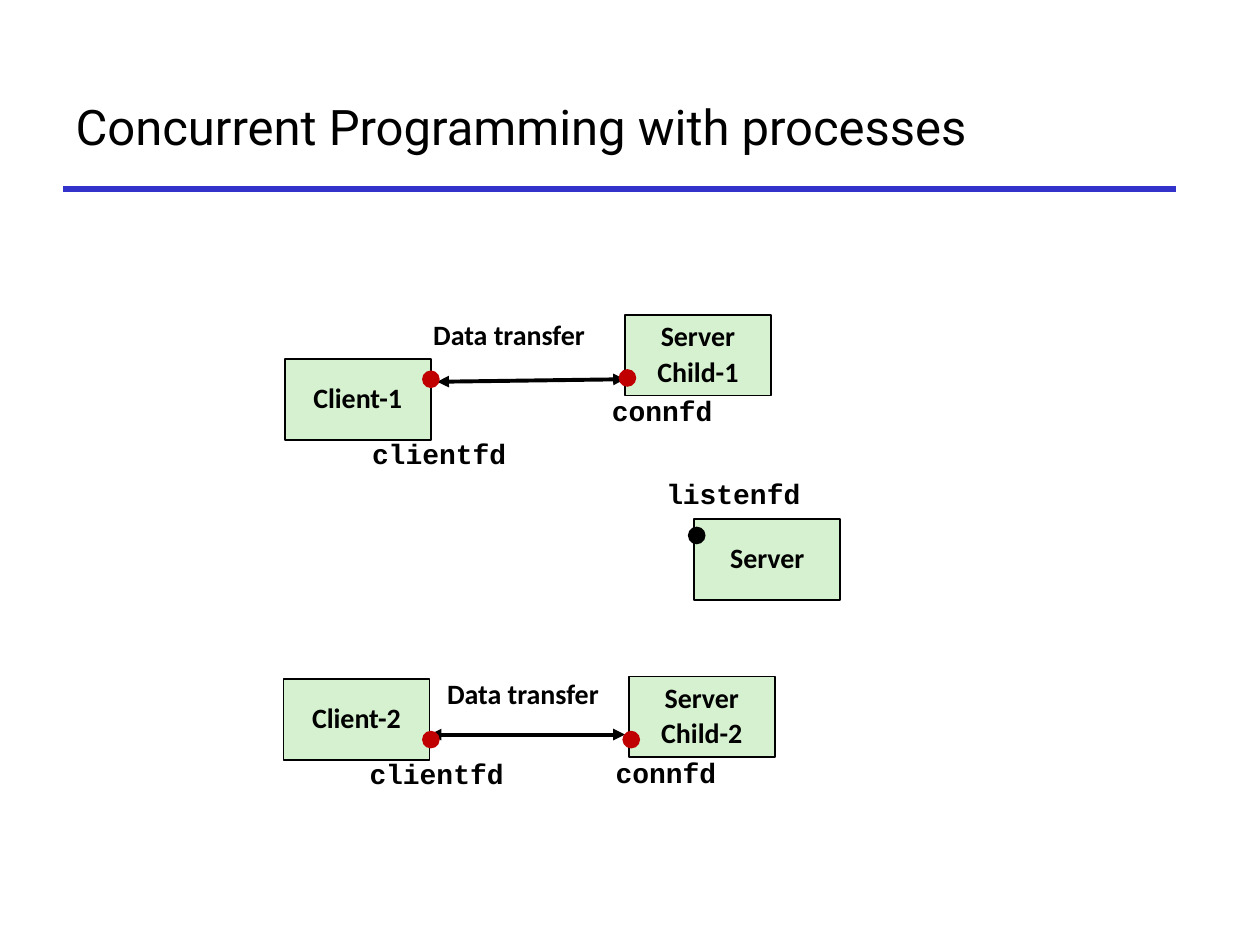
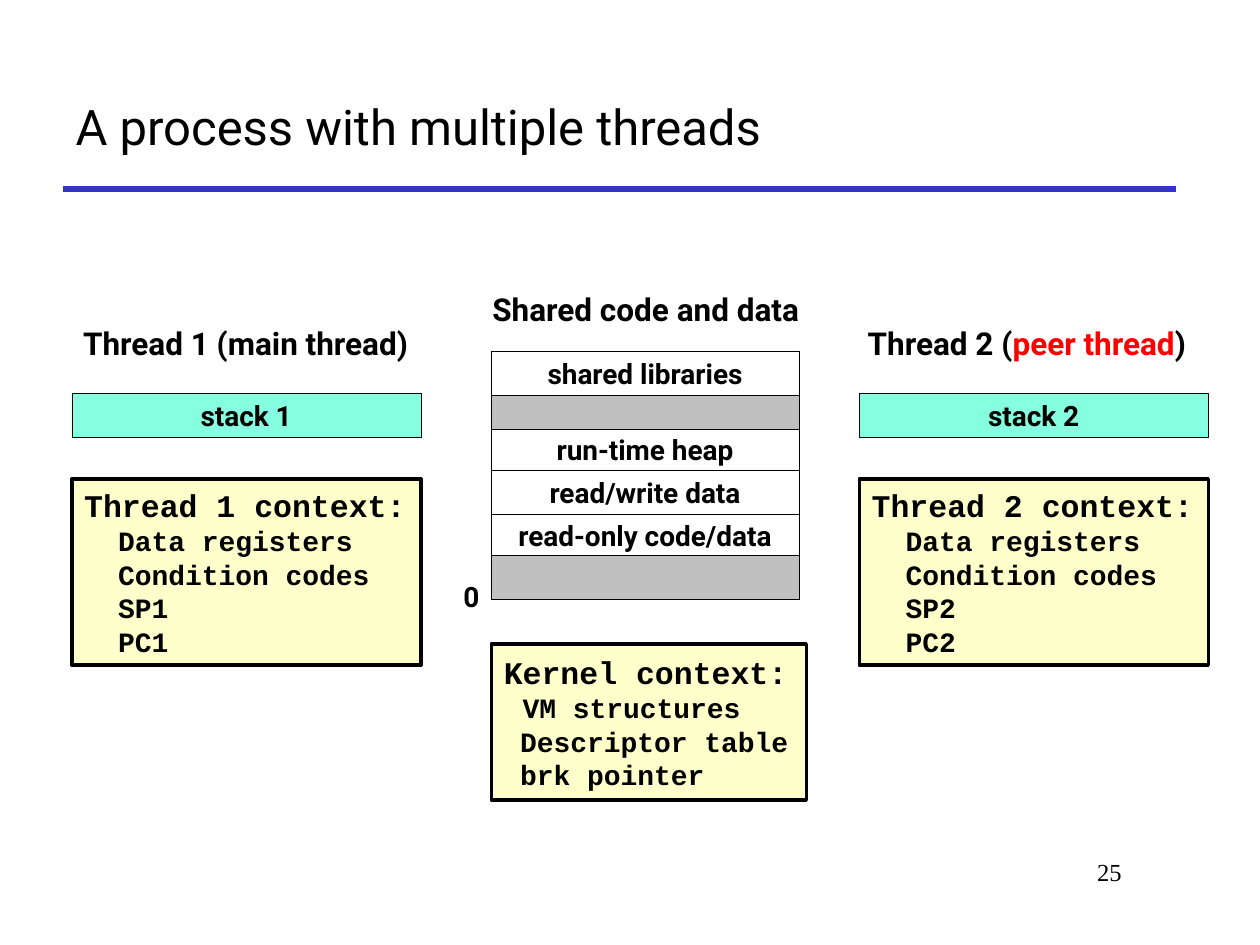
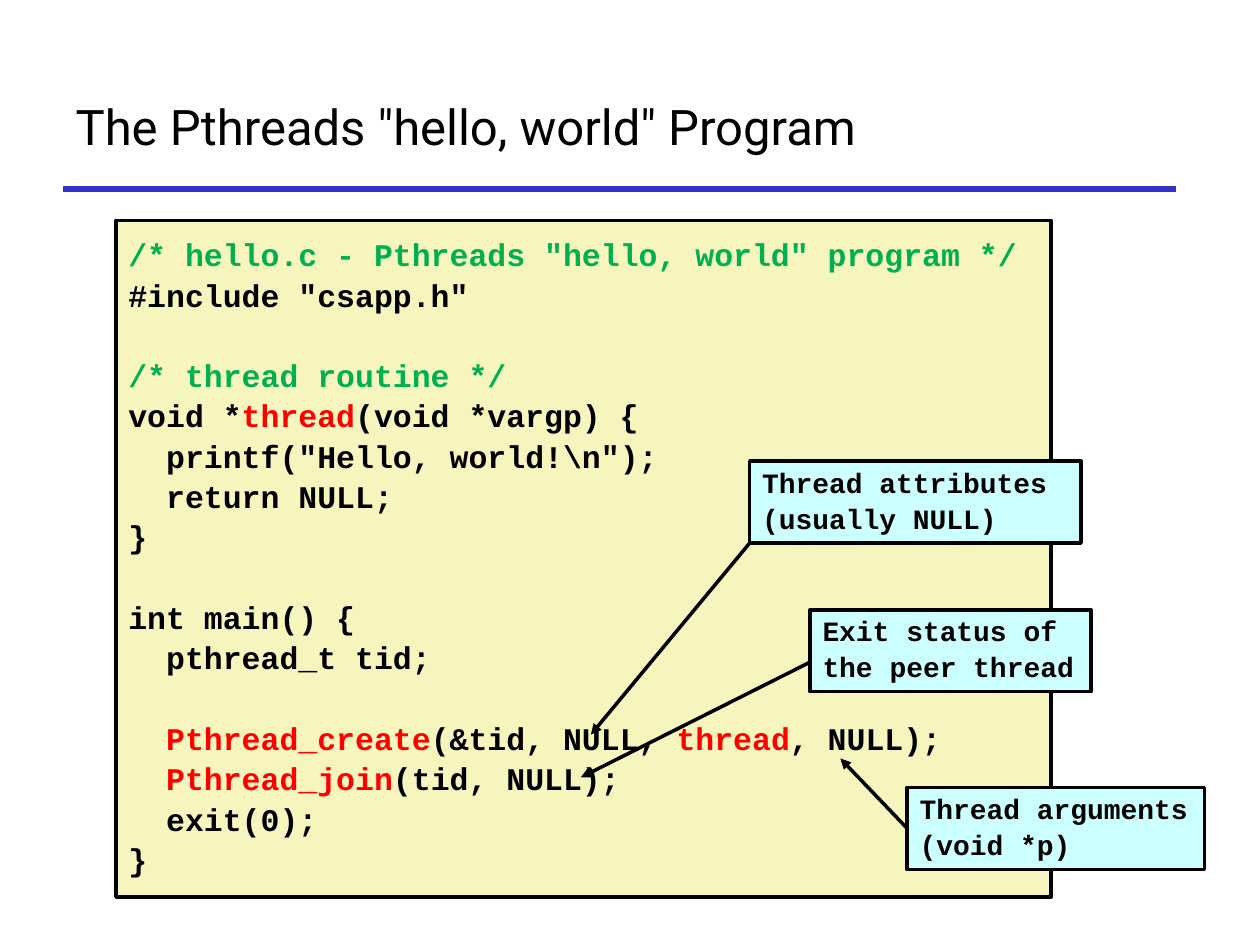
import dataclasses

import pptx
import pptx.dml.color
import pptx.enum.shapes
import pptx.enum.text
import pptx.oxml
import pptx.oxml.ns
import pptx.util

Inches = pptx.util.Inches
Pt = pptx.util.Pt
Shape = pptx.enum.shapes.MSO_SHAPE
Align = pptx.enum.text.PP_ALIGN
Anchor = pptx.enum.text.MSO_ANCHOR


@dataclasses.dataclass(frozen=True)
class Theme:
    black: str = "000000"
    white: str = "FFFFFF"
    rule: str = "3333CC"
    process: str = "D5F1CF"
    socket: str = "C00000"
    gray: str = "C0C0C0"
    stack: str = "85FFE0"
    context: str = "FFFFCC"
    code: str = "F6F5BD"
    callout: str = "CCFFFF"
    red: str = "FF0000"
    green: str = "00B050"
    sans: str = "Roboto"
    label: str = "Calibri"
    mono: str = "Courier New"
    serif: str = "Times New Roman"
    title: int = 28
    large: int = 18
    normal: int = 16
    number: int = 14


@dataclasses.dataclass(frozen=True)
class Line:
    spans: list
    indent: float = 0
    size: int = 0
    skipped: int = 0


THEME = Theme()
MONO_LINE = 1.2

PROCESSES = [
    (["Client-1"], 2.26, 2.85),
    (["Server", "Child-1"], 4.96, 2.5),
    (["Server"], 5.51, 4.12),
    (["Client-2"], 2.25, 5.39),
    (["Server", "Child-2"], 4.99, 5.37),
]
TRANSFERS = [((3.47, 3.03), (4.96, 3.01)), ((3.41, 5.83), (4.96, 5.83))]
SOCKETS = [
    (3.35, 2.94, THEME.socket),
    (4.91, 2.93, THEME.socket),
    (5.46, 4.18, THEME.black),
    (3.35, 5.8, THEME.socket),
    (4.94, 5.8, THEME.socket),
]
SOCKET_LABELS = [
    ("Data transfer", THEME.label, (3.33, 2.5, 1.42, 0.34)),
    ("Data transfer", THEME.label, (3.44, 5.35, 1.42, 0.34)),
    ("clientfd", THEME.mono, (2.85, 3.43, 1.27, 0.37)),
    ("clientfd", THEME.mono, (2.83, 5.97, 1.27, 0.37)),
    ("connfd", THEME.mono, (4.75, 3.1, 1.01, 0.35)),
    ("connfd", THEME.mono, (4.78, 5.97, 1.01, 0.35)),
    ("listenfd", THEME.mono, (5.18, 3.76, 1.28, 0.34)),
]

MEMORY_ROWS = [
    ("shared libraries", 0.35),
    ("", 0.27),
    ("run-time heap", 0.32),
    ("read/write data", 0.35),
    ("read-only code/data", 0.33),
    ("", 0.35),
]
THREADS = [
    (1, 0.57, [("Thread 1 (main thread)", THEME.black)], (0.5, 2.52, 2.9, 0.4)),
    (
        2,
        6.82,
        [("Thread 2 (", THEME.black), ("peer thread", THEME.red), (")", THEME.black)],
        (6.73, 2.52, 2.84, 0.4),
    ),
]
KERNEL = [("VM structures", 0.15), ("Descriptor table", 0.13), ("brk pointer", 0.13)]

CODE = [
    Line([('/* hello.c - Pthreads "hello, world" program */', THEME.green)]),
    Line(['#include "csapp.h"']),
    Line([("/* thread routine */", THEME.green)], skipped=1),
    Line(["void *", ("thread", THEME.red), "(void *vargp) {"]),
    Line(['printf("Hello, world!\\n");'], indent=0.3),
    Line(["return NULL;"], indent=0.3),
    Line(["}"]),
    Line(["int main() {"], skipped=1),
    Line(["pthread_t tid;"], indent=0.3),
    Line(
        [("Pthread_create", THEME.red), "(&tid, NULL, ", ("thread", THEME.red), ", NULL);"],
        indent=0.3,
        skipped=1,
    ),
    Line([("Pthread_join", THEME.red), "(tid, NULL);"], indent=0.3),
    Line(["exit(0);"], indent=0.3),
    Line(["}"]),
]
CALLOUTS = [
    (["Thread attributes", "(usually NULL)"], (5.95, 3.66, 2.63, 0.65), (5.95, 4.31), (4.69, 5.83)),
    (["Thread arguments", "(void *p)"], (7.2, 6.25, 2.36, 0.65), None, (6.67, 6.02)),
    (["Exit status of", "the peer thread"], (6.43, 4.84, 2.23, 0.65), (6.42, 5.26), (4.61, 6.17)),
]


def rgb(value):
    return pptx.dml.color.RGBColor.from_string(value)


def write(frame, lines, font=THEME.sans, size=THEME.normal, bold=True, align=Align.CENTER,
          anchor=Anchor.MIDDLE, spaced=False):
    frame.word_wrap = align != Align.CENTER
    frame.vertical_anchor = anchor
    for index, line in enumerate(lines):
        if isinstance(line, str):
            line = Line([line])
        para = frame.paragraphs[0] if index == 0 else frame.add_paragraph()
        para.alignment = align
        points = line.size or size
        if spaced:
            gap = 0.2 * points
            pitch = 0.9 * MONO_LINE * points + gap
            para.line_spacing = 0.9
            para.space_before = Pt(round(gap + line.skipped * pitch, 1))
        if line.indent:
            para._p.get_or_add_pPr().set("marL", str(Inches(line.indent)))
        for part in line.spans:
            text, color = (part, THEME.black) if isinstance(part, str) else part
            span = para.add_run()
            span.text = text
            span.font.name = font
            span.font.size = Pt(points)
            span.font.bold = bold
            span.font.color.rgb = rgb(color)


def add_label(page, place, lines, **text_format):
    box = page.shapes.add_textbox(*map(Inches, place))
    write(box.text_frame, lines, **text_format)


def add_box(page, place, fill, lines=(), weight=0, kind=Shape.RECTANGLE, **text_format):
    box = page.shapes.add_shape(kind, *map(Inches, place))
    box.shadow.inherit = False
    box.fill.solid()
    box.fill.fore_color.rgb = rgb(fill)
    if weight:
        box.line.color.rgb = rgb(THEME.black)
        box.line.width = Pt(weight)
    else:
        box.line.fill.background()
    if lines:
        write(box.text_frame, lines, **text_format)
    return box


def add_line(page, start, end, color=THEME.black, weight=2, arrows=()):
    line = page.shapes.add_connector(
        pptx.enum.shapes.MSO_CONNECTOR.STRAIGHT, *map(Inches, (*start, *end)))
    line.line.color.rgb = rgb(color)
    line.line.width = Pt(weight)
    outline = line.line._get_or_add_ln()
    for name in arrows:
        arrow = pptx.oxml.parse_xml(f'<a:{name} {pptx.oxml.ns.nsdecls("a")} type="triangle"/>')
        outline.append(arrow)
    line._element.spPr.append(
        pptx.oxml.parse_xml(f'<a:effectLst {pptx.oxml.ns.nsdecls("a")}/>'))
    return line


def add_page(deck, title):
    page = deck.slides.add_slide(deck.slide_layouts[5])
    holder = page.shapes.title
    holder.left, holder.top, holder.width, holder.height = map(Inches, (0.5, 0.5, 8.83, 1))
    write(holder.text_frame, [title], size=THEME.title, bold=False, align=Align.LEFT)
    add_line(page, (0.5, 1.5), (9.33, 1.5), color=THEME.rule, weight=3)
    return page


def build_processes(deck):
    page = add_page(deck, "Concurrent Programming with processes")
    for lines, left, top in PROCESSES:
        add_box(page, (left, top, 1.16, 0.64), THEME.process, lines, weight=1,
                font=THEME.label, spaced=True)
    for start, end in TRANSFERS:
        add_line(page, start, end, weight=2.25, arrows=("headEnd", "tailEnd"))
    for left, top, color in SOCKETS:
        add_box(page, (left, top, 0.14, 0.14), color, kind=Shape.OVAL)
    for text, font, place in SOCKET_LABELS:
        add_label(page, place, [text], font=font, spaced=True)


def add_context(page, place, heading, details):
    lines = [Line([heading], size=THEME.large)]
    lines += [Line([text], indent=indent) for text, indent in details]
    add_box(page, place, THEME.context, lines, weight=2, font=THEME.mono, align=Align.LEFT)


def build_threads(deck):
    page = add_page(deck, "A process with multiple threads")
    add_label(page, (7.58, 6.75, 1.42, 0.5), ["25"], font=THEME.serif, size=THEME.number,
              bold=False, align=Align.RIGHT, anchor=Anchor.TOP)
    add_label(page, (3.66, 2.25, 2.87, 0.4), [" Shared code and data"], size=THEME.large)
    top = 2.79
    for text, height in MEMORY_ROWS:
        add_box(page, (3.9, top, 2.44, height), THEME.white if text else THEME.gray,
                [text] if text else [], weight=0.25)
        top += height
    add_label(page, (3.58, 4.55, 0.33, 0.37), ["0"], align=Align.LEFT, anchor=Anchor.TOP)
    for number, left, heading, place in THREADS:
        add_label(page, place, [Line(heading)], size=THEME.large)
        add_box(page, (left, 3.12, 2.77, 0.35), THEME.stack, [f"stack {number}"], weight=0.25)
        registers = ["Data registers", "Condition codes", f"SP{number}", f"PC{number}"]
        add_context(page, (left, 3.8, 2.77, 1.48), f"Thread {number} context:",
                    [(text, 0.27) for text in registers])
    add_context(page, (3.9, 5.11, 2.5, 1.24), "Kernel context:", KERNEL)


def build_hello(deck):
    page = add_page(deck, 'The Pthreads "hello, world" Program')
    mono = dict(font=THEME.mono, align=Align.LEFT, spaced=True, weight=2)
    add_box(page, (0.92, 1.75, 7.42, 5.37), THEME.code, CODE, size=THEME.large, **mono)
    for lines, place, start, end in CALLOUTS:
        box = add_box(page, place, THEME.callout, lines, **mono)
        arrow = add_line(page, start or place[:2], end, arrows=("tailEnd",))
        if start is None:
            arrow.begin_connect(box, 1)


def main():
    deck = pptx.Presentation()
    deck.slide_width, deck.slide_height = Inches(10), Inches(7.5)
    build_processes(deck)
    build_threads(deck)
    build_hello(deck)
    deck.save("out.pptx")


if __name__ == "__main__":
    main()
